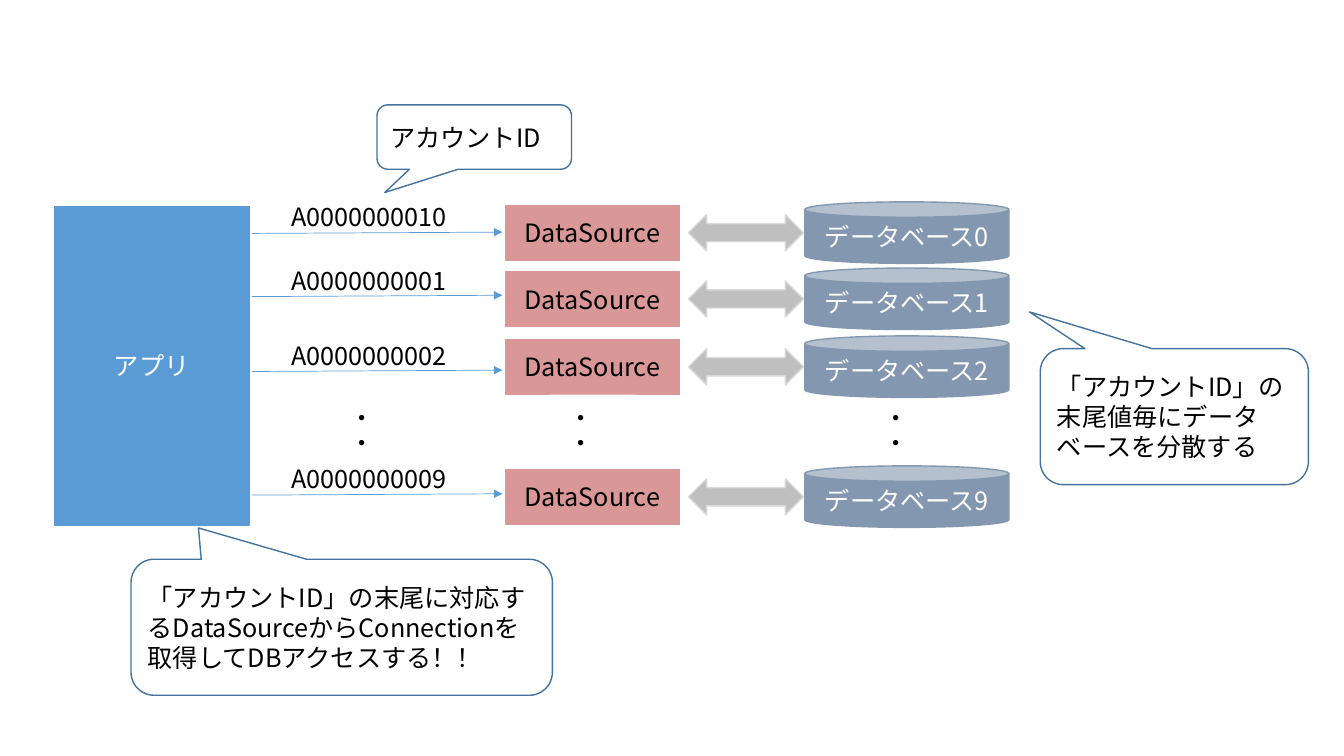
from pptx import Presentation
from pptx.dml.color import RGBColor
from pptx.enum.shapes import MSO_CONNECTOR as Link, MSO_SHAPE as Form
from pptx.enum.text import MSO_ANCHOR as Anchor, PP_ALIGN as Align
from pptx.oxml.ns import qn
from pptx.util import Inches, Pt
from lxml.etree import SubElement as Sub

BLACK = RGBColor(0x00, 0x00, 0x00)
WHITE = RGBColor(0xFF, 0xFF, 0xFF)
BLUE = RGBColor(0x5B, 0x9B, 0xD5)
NAVY = RGBColor(0x43, 0x73, 0x9E)
SLATE = RGBColor(0x84, 0x97, 0xB0)
ROSE = RGBColor(0xD9, 0x98, 0x97)
GRAY = RGBColor(0xBF, 0xBF, 0xBF)
PALE = RGBColor(0xD9, 0xD9, 0xD9)

COLS = 40  # square grid cells across the slide
FONT = "Noto Sans CJK JP"
TEXT = {"name": FONT, "size": Pt(18)}


class Board:
    """Style and current slide; all lengths are in grid cells."""

    def __init__(self, deck):
        self.cell = deck.slide_width / COLS
        self.slide = deck.slides.add_slide(deck.slide_layouts[6])
        self.shapes = self.slide.shapes

    def grid(self, *nums):
        return [round(n * self.cell) for n in nums]

    def words(self, shape, text, color, align, **frame):
        for key, val in frame.items():
            setattr(shape.text_frame, key, val)
        para = shape.text_frame.paragraphs[0]
        para.alignment = align
        run = para.add_run()
        run.text = text
        for key, val in TEXT.items():
            setattr(run.font, key, val)
        run.font.color.rgb = color
        Sub(run.font._element, qn("a:ea"), typeface=FONT)

    def box(self, form, area, fill, edge, text="", color=BLACK,
            align=Align.CENTER, width=1):
        shape = self.shapes.add_shape(form, *self.grid(*area))
        shape.shadow.inherit = False
        if fill is None:
            shape.fill.background()
        else:
            shape.fill.solid()
            shape.fill.fore_color.rgb = fill
        shape.line.color.rgb = edge
        shape.line.width = Pt(width)
        if text:
            self.words(shape, text, color, align, word_wrap=True,
                       vertical_anchor=Anchor.MIDDLE)
        return shape

    def note(self, area, tip, text):
        shape = self.box(Form.ROUNDED_RECTANGULAR_CALLOUT, area, None, NAVY,
                         text, align=Align.LEFT)
        for i, val in enumerate(tip):
            shape.adjustments[i] = val

    def label(self, area, text, turn=0, wrap=True):
        shape = self.shapes.add_textbox(*self.grid(*area))
        shape.rotation = turn
        self.words(shape, text, BLACK, Align.LEFT, word_wrap=wrap)

    def arrow(self, *ends):
        link = self.shapes.add_connector(Link.STRAIGHT, *self.grid(*ends))
        link.line.color.rgb = BLUE
        link.line.width = Pt(0.5)
        props = link._element.spPr
        Sub(props.find(qn("a:ln")), qn("a:tailEnd"), type="triangle")
        Sub(props, qn("a:effectLst"))


def main():
    deck = Presentation()
    deck.slide_width, deck.slide_height = Inches(13.33), Inches(7.5)
    board = Board(deck)

    # Application
    board.box(Form.RECTANGLE, (1.62, 6.15, 5.79, 9.48), BLUE, BLUE,
              "アプリ", WHITE)

    # One row per last digit: account, database, row middle, request line
    rows = [("10", 0, 6.93, 6.93), ("01", 1, 8.9, 8.81),
            ("02", 2, 10.92, 11.04), ("09", 9, 14.79, 14.72)]
    for tail, num, mid, req in rows:
        board.arrow(7.5, req + 0.02, 14.95, req - 0.02)
        board.label((8.37, req - 1.07, 6.48, 1.2), "A00000000" + tail)
        board.box(Form.RECTANGLE, (15.04, mid - 0.81, 5.18, 1.62), ROSE, ROSE,
                  "DataSource", width=0.5)
        board.box(Form.LEFT_RIGHT_ARROW, (20.49, mid - 0.54, 3.42, 1.08),
                  GRAY, PALE)
        board.box(Form.CAN, (23.95, mid - 0.92, 6.08, 1.83), SLATE, SLATE,
                  f"データベース{num}", WHITE)

    # Dots for the rows left out
    for left in (9.72, 16.23, 25.62):
        board.label((left, 12.25, 2.13, 1.2), "・・", turn=90, wrap=False)

    # Callouts
    board.note((11.22, 3.12, 5.79, 1.92), (-0.46, 0.86, 0.17), "アカウントID")
    board.note((30.96, 10.38, 7.98, 4.05), (-0.54, -0.77, 0.17),
               "「アカウントID」の末尾値毎にデータベースを分散する")
    board.note((3.9, 16.65, 12.54, 4.05), (-0.34, -0.73, 0.17),
               "「アカウントID」の末尾に対応するDataSourceから"
               "Connectionを取得してDBアクセスする！！")

    deck.save("out.pptx")


if __name__ == "__main__":
    main()
